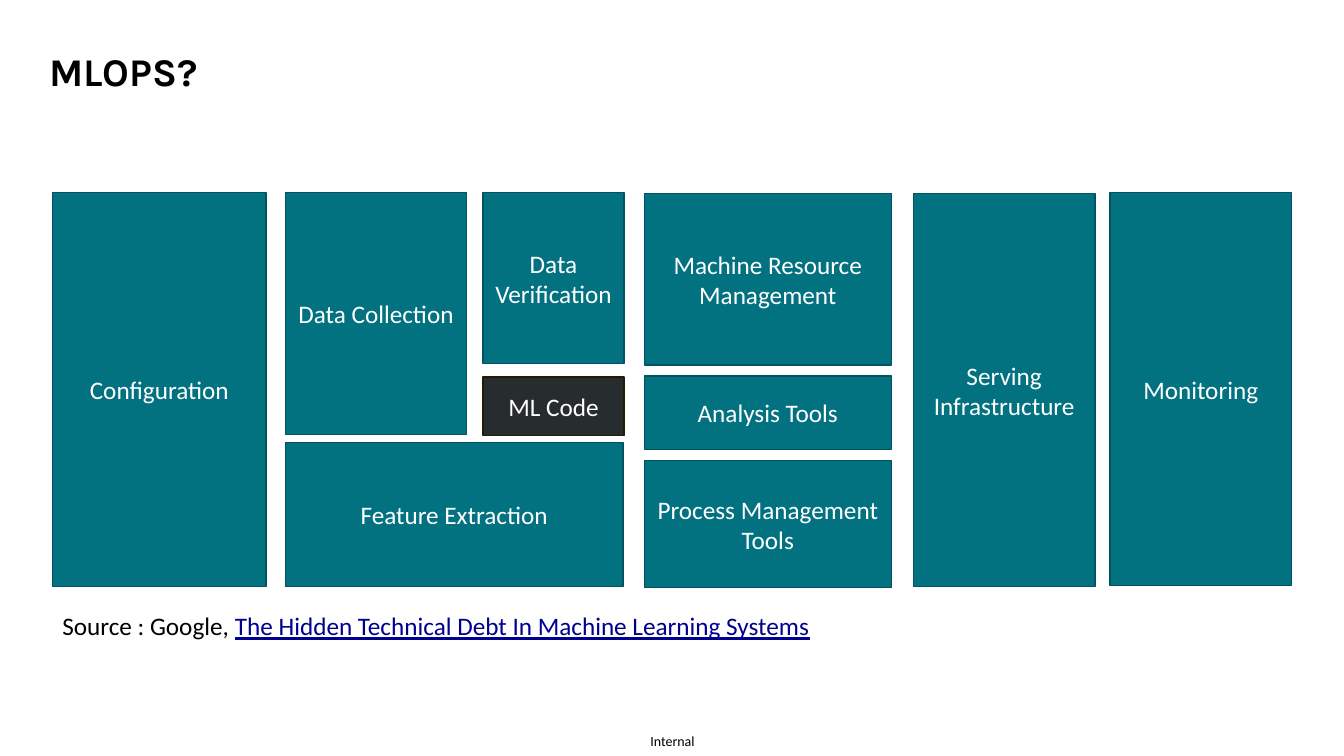
from pptx import Presentation
from pptx.dml.color import RGBColor
from pptx.enum.shapes import MSO_SHAPE
from pptx.enum.text import MSO_ANCHOR, MSO_AUTO_SIZE, PP_ALIGN
from pptx.util import Inches, Pt

BLACK = RGBColor(0x00, 0x00, 0x00)
WHITE = RGBColor(0xFF, 0xFF, 0xFF)
TEAL = RGBColor(0x02, 0x71, 0x80)
DARK_TEAL = RGBColor(0x01, 0x54, 0x5F)
CHARCOAL = RGBColor(0x27, 0x2D, 0x2E)
DARK_BROWN = RGBColor(0x26, 0x19, 0x01)
LINK_BLUE = RGBColor(0x00, 0x00, 0x8F)

TITLE_FORMAT = {"name": "Karla", "size": Pt(28), "bold": True}
BODY_FORMAT = {"name": "Calibri", "size": Pt(18)}
LABEL_FORMAT = {"name": "Calibri", "size": Pt(10)}
LINK_FORMAT = {**BODY_FORMAT, "underline": True}

DIAGRAM_BOX = (0.52, 1.91, 12.29, 3.91)
COMPONENTS = [
    ("Configuration", 0, 0, 2.12, 3.91),
    ("Data Collection", 2.31, 0, 1.8, 2.4),
    ("Feature Extraction", 2.31, 2.48, 3.35, 1.43),
    ("ML Code", 4.27, 1.83, 1.4, 0.58),
    ("Data Verification", 4.27, 0, 1.4, 1.7),
    ("Machine Resource Management", 5.87, 0.01, 2.45, 1.7),
    ("Analysis Tools", 5.87, 1.82, 2.45, 0.73),
    ("Process Management Tools", 5.87, 2.66, 2.45, 1.26),
    ("Serving Infrastructure", 8.54, 0.01, 1.8, 3.9),
    ("Monitoring", 10.49, 0, 1.8, 3.9),
]


def add_span(para, text, formats, color):
    span = para.add_run()
    span.text = text
    for name, value in formats.items():
        setattr(span.font, name, value)
    span.font.color.rgb = color


def add_title(page, box):
    title = page.shapes.title
    for name, value in zip(("left", "top", "width", "height"), box):
        setattr(title, name, Inches(value))
    frame = title.text_frame
    frame.auto_size = MSO_AUTO_SIZE.SHAPE_TO_FIT_TEXT
    frame.vertical_anchor = MSO_ANCHOR.TOP
    para = frame.paragraphs[0]
    para.alignment = PP_ALIGN.LEFT
    para.line_spacing = 0.9
    add_span(para, "MLOPS?", TITLE_FORMAT, BLACK)


def add_component(page, text, box):
    shape = page.shapes.add_shape(MSO_SHAPE.RECTANGLE, *map(Inches, box))
    is_code = text == "ML Code"
    shape.shadow.inherit = False
    shape.fill.solid()
    shape.fill.fore_color.rgb = CHARCOAL if is_code else TEAL
    shape.line.color.rgb = DARK_BROWN if is_code else DARK_TEAL
    shape.line.width = Pt(1)
    frame = shape.text_frame
    frame.word_wrap = True
    frame.vertical_anchor = MSO_ANCHOR.MIDDLE
    para = frame.paragraphs[0]
    para.alignment = PP_ALIGN.CENTER
    add_span(para, text, BODY_FORMAT, WHITE)


def add_diagram(page, box):
    left, top = box[:2]
    for text, x, y, width, height in COMPONENTS:
        add_component(page, text, (left + x, top + y, width, height))


def add_source(page, box):
    frame = page.shapes.add_textbox(*map(Inches, box)).text_frame
    frame.word_wrap = True
    para = frame.paragraphs[0]
    add_span(para, "Source : Google, ", BODY_FORMAT, BLACK)
    add_span(para, "The Hidden Technical Debt In Machine Learning Systems", LINK_FORMAT, LINK_BLUE)


def add_label(page, box):
    frame = page.shapes.add_textbox(*map(Inches, box)).text_frame
    frame.word_wrap = True
    frame.vertical_anchor = MSO_ANCHOR.MIDDLE
    for side in ("left", "top", "right", "bottom"):
        setattr(frame, f"margin_{side}", 0)
    para = frame.paragraphs[0]
    para.alignment = PP_ALIGN.CENTER
    add_span(para, "Internal", LABEL_FORMAT, BLACK)


def main():
    deck = Presentation()
    deck.slide_width = Inches(13.33)
    deck.slide_height = Inches(7.5)
    page = deck.slides.add_slide(deck.slide_layouts[5])
    add_title(page, (0.39, 0.47, 11.54, 0.53))
    add_diagram(page, DIAGRAM_BOX)
    add_source(page, (0.52, 6.01, 9.17, 0.4))
    add_label(page, (6.3, 7.21, 0.74, 0.29))
    deck.save("out.pptx")


if __name__ == "__main__":
    main()
